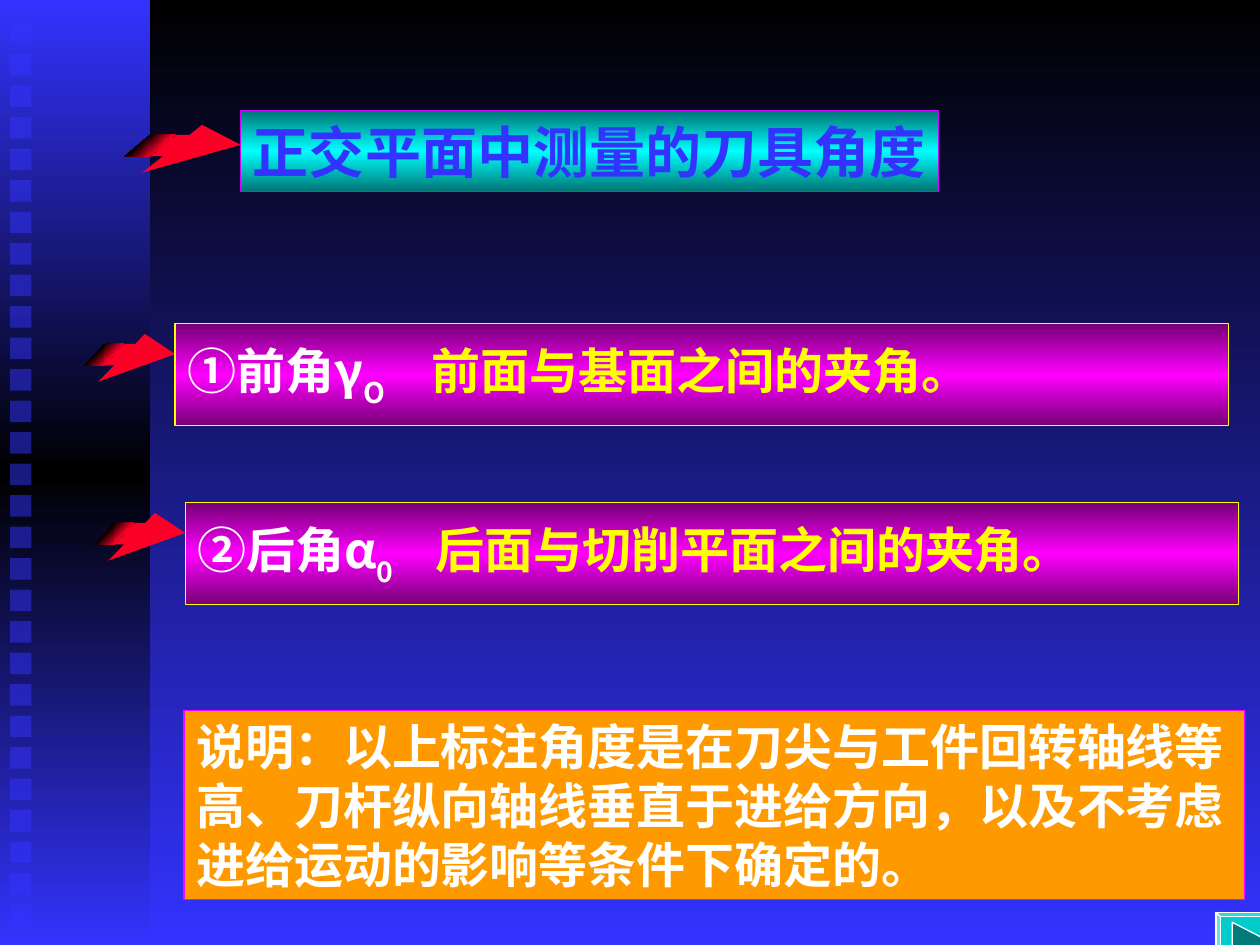
from lxml import etree
from pptx import Presentation
from pptx import util as u
from pptx.dml import color
from pptx.enum import shapes, text
from pptx.oxml import ns

deck = Presentation()
deck.slide_width, deck.slide_height = u.Inches(10), u.Inches(7.5)
cell = deck.slide_width // 10  # square grid: 10 columns by 7.5 rows
page = deck.slides.add_slide(deck.slide_layouts[6])
SANS, GREEK = "Noto Sans CJK SC", "Noto Sans CJK TC"
RED, BLUE, WHITE, YELLOW = "FC0128", "3333FF", "FFFFFF", "FFFF00"


def paint(fill, *colours, owner=None, angle=90):
    """Fill with one colour, or with evenly spaced gradient stops inside owner."""
    if len(colours) == 1:
        fill.solid()
        fill.fore_color.rgb = color.RGBColor.from_string(colours[0])
        return
    fill.gradient()
    fill.gradient_angle = 360 - angle
    stops = owner.xpath(".//a:gsLst")[0]
    for stop in list(stops):
        stops.remove(stop)
    for index, colour in enumerate(colours):
        stop = etree.SubElement(stops, ns.qn("a:gs"), pos=str(index * 100000 // (len(colours) - 1)))
        etree.SubElement(stop, ns.qn("a:srgbClr"), val=colour)


def add_shape(outline, colours, line=None, angle=90, kind=shapes.MSO_SHAPE.RECTANGLE):
    """Outline is (left, top, width, height) in cells, or a list of corner points."""
    if isinstance(outline, list):
        corners = [(int(x * cell), int(y * cell)) for x, y in outline]
        builder = page.shapes.build_freeform(*corners[0])
        builder.add_line_segments(corners[1:], close=True)
        shape = builder.convert_to_shape()
    else:
        shape = page.shapes.add_shape(kind, *[int(n * cell) for n in outline])
    shape.shadow.inherit = False
    paint(shape.fill, *colours, owner=shape._element, angle=angle)
    if line:
        paint(shape.line.fill, line)
        shape.line.width = u.Pt(0.75)
    else:
        shape.line.fill.background()
    return shape


# Background, side band and its column of translucent squares
paint(page.background.fill, "000000", BLUE, owner=page.element)
add_shape((0, 0, 1.19, 7.5), [BLUE, "000000", BLUE])
for row in range(29):
    square = add_shape((0.08, 0.18 + row * 0.25, 0.17, 0.17), [BLUE])
    tint = square._element.xpath("./p:spPr/a:solidFill/a:srgbClr")[0]
    etree.SubElement(tint, ns.qn("a:alpha"), val="50000")

# Folded arrows: tip x, top y, width
for tip, top, width in [(1.91, 0.99, 0.92), (1.39, 2.65, 0.72), (1.47, 4.07, 0.72)]:
    tail, fold, crease = [tip - width * share for share in (1, 0.78, 0.56)]
    upper, lower = top + 0.08, top + 0.25
    add_shape([(tip, top + 0.16), (tip - width / 3, top), (tip - width * 0.44, upper), (fold, upper),
               (tail, lower), (tip - width * 0.67, lower), (tip - width * 0.85, top + 0.38)], [RED])
    add_shape([(fold, upper), (fold, lower), (tail, lower)], [RED, "000000", RED], angle=225)
    add_shape([(crease, upper), (fold, upper), (fold, lower)], ["000000", RED, "000000"], angle=225)

# Text boxes: place, fill, line, vertical inset, tab stop, size, runs (text, font, colour, baseline)
magenta = ["750075", "FF00FF", "750075"]
boxes = [
    ((1.91, 0.88, 5.54, 0.64), ["007575", "00FFFF", "007575"], "CC00FF", 0.05, None, 32,
     [("正交平面中测量的刀具角度", SANS, BLUE, 0)]),
    ((1.39, 2.57, 8.36, 0.81), magenta, YELLOW, 0.13, 1.94, 28,
     [("①前角", SANS, WHITE, 0), ("γ", GREEK, WHITE, 0), ("O\t", SANS, WHITE, -30),
      ("前面与基面之间的夹角。", SANS, YELLOW, 0)]),
    ((1.47, 3.99, 8.36, 0.81), magenta, YELLOW, 0.13, 1.89, 28,
     [("②后角", SANS, WHITE, 0), ("α", GREEK, WHITE, 0), ("0\t", SANS, WHITE, -30),
      ("后面与切削平面之间的夹角。", SANS, YELLOW, 0)]),
    ((1.46, 5.64, 8.42, 1.5), ["FF9900"], "FF00FF", 0.05, None, 28,
     [("说明：以上标注角度是在刀尖与工件回转轴线等高、刀杆纵向轴线垂直于进给方向，"
       "以及不考虑进给运动的影响等条件下确定的。", SANS, WHITE, 0)]),
]
for place, colours, line, inset, tab, size, runs in boxes:
    box = add_shape(place, colours, line)
    frame = box.text_frame
    frame.word_wrap = size == 28
    frame.auto_size = text.MSO_AUTO_SIZE.NONE
    frame.vertical_anchor = text.MSO_ANCHOR.TOP
    frame.margin_left = frame.margin_right = u.Inches(0.1)
    frame.margin_top = frame.margin_bottom = u.Inches(inset)
    para = frame.paragraphs[0]
    para.alignment = text.PP_ALIGN.LEFT
    if tab:
        tabs = etree.SubElement(para._p.get_or_add_pPr(), ns.qn("a:tabLst"))
        etree.SubElement(tabs, ns.qn("a:tab"), pos=str(int(tab * cell)), algn="l")
    for words, face, colour, baseline in runs:
        span = para.add_run()
        span.text = words
        span.font.size, span.font.bold, span.font.name = u.Pt(size), True, face
        paint(span.font.fill, colour)
        properties = span.font._element
        etree.SubElement(properties, ns.qn("a:ea"), typeface=face)
        if baseline:
            properties.set("baseline", str(baseline * 1000))

# Forward button running over the corner
button = add_shape((9.65, 7.24, 0.58, 0.5), ["00CCCC"], WHITE, kind=shapes.MSO_SHAPE.BEVEL)
button.adjustments[0] = 0.07
add_shape([(9.78, 7.32), (10.11, 7.49), (9.78, 7.65)], ["007A7A"], WHITE)

deck.save("out.pptx")
